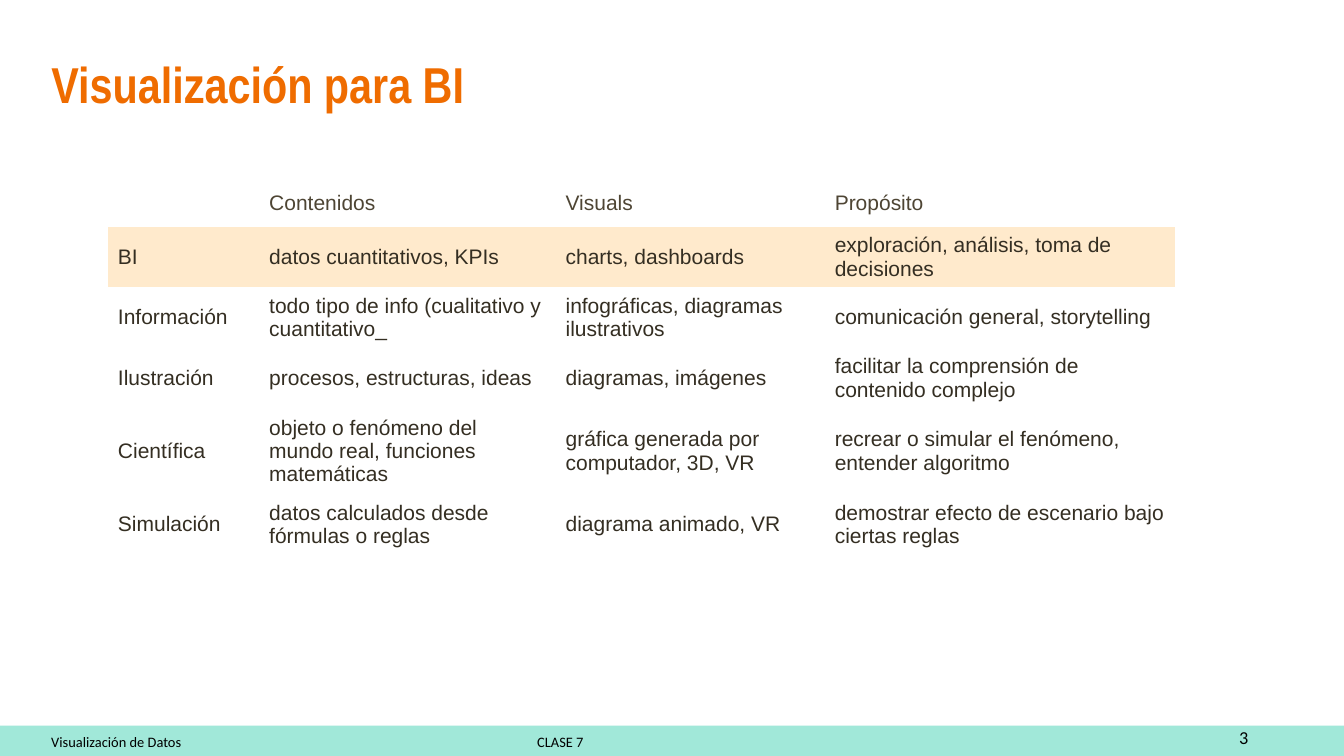
from pptx import Presentation
from pptx.dml.color import RGBColor
from pptx.enum.shapes import MSO_SHAPE
from pptx.enum.text import MSO_ANCHOR, PP_ALIGN
from pptx.oxml.ns import qn
from pptx.util import Inches, Pt

ORANGE = RGBColor(0xEF, 0x6C, 0x00)
MINT = RGBColor(0xA1, 0xE8, 0xD9)
CREAM = RGBColor(0xFF, 0xEA, 0xCC)
OLIVE = RGBColor(0x4E, 0x45, 0x34)
BROWN = RGBColor(0x34, 0x2E, 0x22)
BLACK = RGBColor(0x00, 0x00, 0x00)

TITLE_FONT = {"name": "Arial Narrow", "size": Pt(36), "bold": True}
HEADER_FONT = {"name": "Arial", "size": Pt(15)}
FOOTER_FONT = {"name": "Calibri", "size": Pt(10.3)}
NUMBER_FONT = {"name": "Calibri", "size": Pt(13)}

NO_STYLE = "{2D5ABB26-0587-4C30-8999-92F81FD0307C}"
COLUMN_WIDTHS = [1.5, 2.94, 2.67, 3.47]
HEADER_HEIGHT = 0.39
ROW_HEIGHT = 0.59
HIGHLIGHTED_ROW = 1
ROWS = [
    ["", "Contenidos", "Visuals", "Propósito"],
    ["BI", "datos cuantitativos, KPIs", "charts, dashboards",
     "exploración, análisis, toma de decisiones"],
    ["Información", "todo tipo de info (cualitativo y cuantitativo_",
     "infográficas, diagramas ilustrativos", "comunicación general, storytelling"],
    ["Ilustración", "procesos, estructuras, ideas", "diagramas, imágenes",
     "facilitar la comprensión de contenido complejo"],
    ["Científica", "objeto o fenómeno del mundo real, funciones matemáticas",
     "gráfica generada por computador, 3D, VR",
     "recrear o simular el fenómeno, entender algoritmo"],
    ["Simulación", "datos calculados desde fórmulas o reglas", "diagrama animado, VR",
     "demostrar efecto de escenario bajo ciertas reglas"],
]


def write_text(text_frame, text, font_format, color, alignment=PP_ALIGN.LEFT):
    """Write one formatted run into the first paragraph of a text frame."""
    paragraph = text_frame.paragraphs[0]
    paragraph.alignment = alignment
    run = paragraph.add_run()
    run.text = text
    for attribute, value in font_format.items():
        setattr(run.font, attribute, value)
    run.font.color.rgb = color


def add_title(slide, text):
    """Place and format the title placeholder."""
    title = slide.shapes.title
    title.left, title.top = Inches(0.41), Inches(0.38)
    title.width, title.height = Inches(12.42), Inches(1.03)
    frame_format = {
        "word_wrap": True,
        "vertical_anchor": MSO_ANCHOR.TOP,
        "margin_left": Inches(0.1),
        "margin_right": Inches(0.1),
        "margin_top": Inches(0.15),
        "margin_bottom": Inches(0.1),
    }
    for attribute, value in frame_format.items():
        setattr(title.text_frame, attribute, value)
    write_text(title.text_frame, text, TITLE_FONT, ORANGE)


def add_footer_band(slide):
    """Draw the coloured band along the bottom edge."""
    band = slide.shapes.add_shape(
        MSO_SHAPE.RECTANGLE, 0, Inches(7.2), Inches(13.33), Inches(0.3))
    band.shadow.inherit = False
    band.fill.solid()
    band.fill.fore_color.rgb = MINT
    band.line.fill.background()


def add_label(slide, text, left, top, width, height, font_format, alignment=PP_ALIGN.LEFT):
    """Add a footer text box."""
    label = slide.shapes.add_textbox(
        Inches(left), Inches(top), Inches(width), Inches(height))
    label.text_frame.word_wrap = True
    write_text(label.text_frame, text, font_format, BLACK, alignment)


def fill_cell(cell, text, row_index):
    """Fill one table cell according to its row."""
    is_header = row_index == 0
    cell.vertical_anchor = MSO_ANCHOR.TOP if is_header else MSO_ANCHOR.MIDDLE
    if row_index == HIGHLIGHTED_ROW:
        cell.fill.solid()
        cell.fill.fore_color.rgb = CREAM
    else:
        cell.fill.background()
    if text:
        write_text(cell.text_frame, text, HEADER_FONT, OLIVE if is_header else BROWN)


def add_comparison_table(slide):
    """Add the borderless table comparing kinds of visualization."""
    height = HEADER_HEIGHT + ROW_HEIGHT * (len(ROWS) - 1)
    table = slide.shapes.add_table(
        len(ROWS), len(COLUMN_WIDTHS), Inches(1.07), Inches(1.85),
        Inches(sum(COLUMN_WIDTHS)), Inches(height)).table
    table.horz_banding = False
    table._tbl.tblPr.find(qn("a:tableStyleId")).text = NO_STYLE
    for column, width in zip(table.columns, COLUMN_WIDTHS):
        column.width = Inches(width)
    for row_index, texts in enumerate(ROWS):
        row = table.rows[row_index]
        row.height = Inches(ROW_HEIGHT if row_index else HEADER_HEIGHT)
        for cell, text in zip(row.cells, texts):
            fill_cell(cell, text, row_index)


def main():
    """Build the slide and save it."""
    presentation = Presentation()
    presentation.slide_width = Inches(13.33)
    presentation.slide_height = Inches(7.5)
    slide = presentation.slides.add_slide(presentation.slide_layouts[5])
    add_footer_band(slide)
    add_label(slide, "3", 11.86, 7.16, 0.62, 0.37, NUMBER_FONT, PP_ALIGN.RIGHT)
    add_label(slide, "CLASE 7", 5.23, 7.22, 1.49, 0.25, FOOTER_FONT)
    add_label(slide, "Visualización de Datos", 0.41, 7.22, 1.61, 0.25, FOOTER_FONT)
    add_title(slide, "Visualización para BI")
    add_comparison_table(slide)
    presentation.save("out.pptx")


if __name__ == "__main__":
    main()
